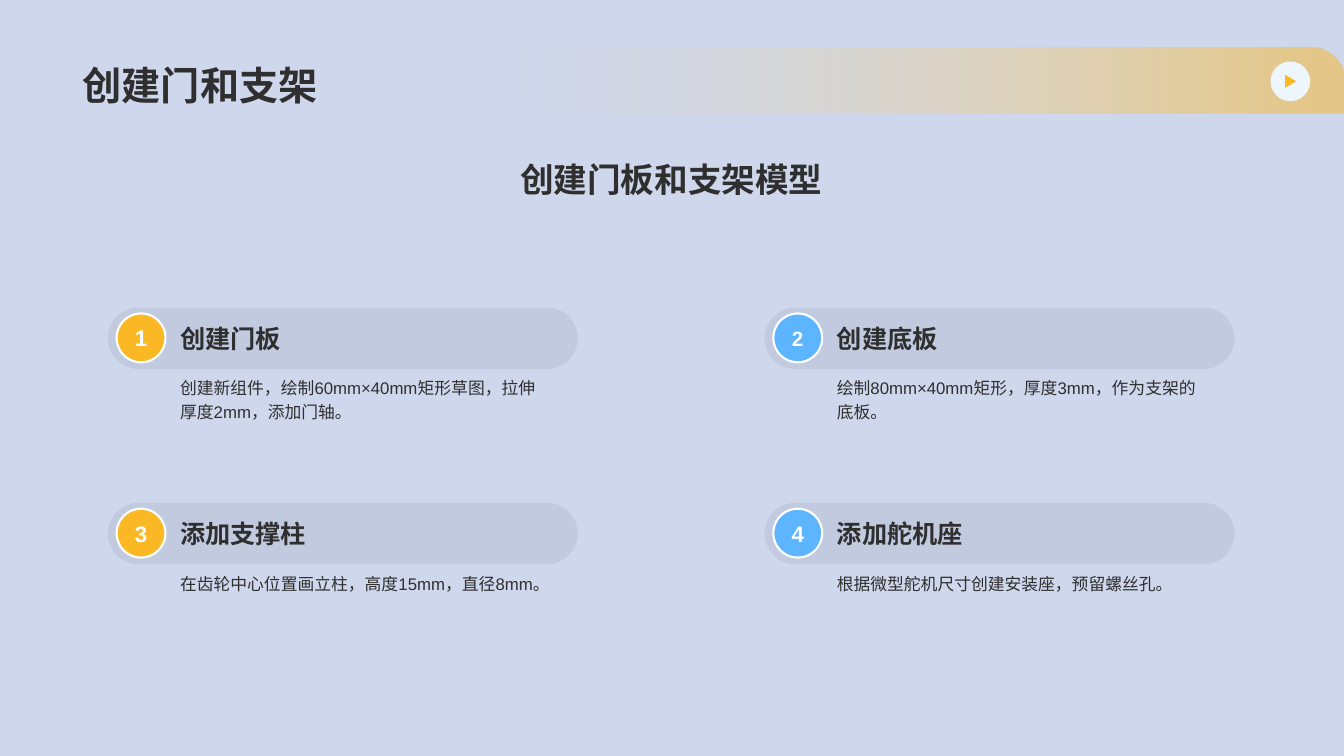
from pptx import Presentation
from pptx.dml.color import RGBColor
from pptx.enum.shapes import MSO_SHAPE
from pptx.enum.text import MSO_ANCHOR, MSO_AUTO_SIZE, PP_ALIGN
from pptx.oxml.ns import qn
from pptx.util import Cm, Pt
from lxml.etree import SubElement

# Content
TITLE = "创建门和支架"
SUBTITLE = "创建门板和支架模型"
STEPS = [  # heading, description, number size
    ("创建门板", "创建新组件，绘制60mm×40mm矩形草图，拉伸厚度2mm，添加门轴。", 16),
    ("创建底板", "绘制80mm×40mm矩形，厚度3mm，作为支架的底板。", 14.8),
    ("添加支撑柱", "在齿轮中心位置画立柱，高度15mm，直径8mm。", 16),
    ("添加舵机座", "根据微型舵机尺寸创建安装座，预留螺丝孔。", 16),
]

BACKGROUND = RGBColor(0xCF, 0xD7, 0xEC)
INK = RGBColor(0x2F, 0x2F, 0x2F)
WHITE = RGBColor(0xFF, 0xFF, 0xFF)
AMBER = RGBColor(0xFB, 0xB8, 0x25)
CREAM = RGBColor(0xFD, 0xE3, 0xA8)
BLUE = RGBColor(0x5D, 0xB5, 0xFF)
SLATE = RGBColor(0x77, 0x84, 0x95)
ICE = RGBColor(0xED, 0xF6, 0xFD)
COLUMN_COLORS = [AMBER, BLUE]

# Step grid, in cm
LEFT, TOP = 2.72, 7.75
COLUMN_PITCH, ROW_PITCH = 16.55, 4.92
PILL_WIDTH, PILL_HEIGHT = 11.84, 1.55
TEXT_OFFSET, TEXT_WIDTH = 1.57, 9.86

prs = Presentation()
prs.slide_width, prs.slide_height = Cm(33.87), Cm(19.05)
slide = prs.slides.add_slide(prs.slide_layouts[5])
slide.background.fill.solid()
slide.background.fill.fore_color.rgb = BACKGROUND


def set_opacity(shape, *percents):
    colors = shape.fill._xPr.iter(qn("a:srgbClr"))
    for color, percent in zip(colors, percents):
        SubElement(color, qn("a:alpha")).set("val", str(percent * 1000))


def add_plain(kind, x, y, width, height, color):
    shape = slide.shapes.add_shape(kind, Cm(x), Cm(y), Cm(width), Cm(height))
    shape.shadow.inherit = False
    shape.fill.solid()
    shape.fill.fore_color.rgb = color
    shape.line.fill.background()
    return shape


def write(shape, text, size, color=INK, bold=True, align=PP_ALIGN.LEFT,
          anchor=MSO_ANCHOR.MIDDLE):
    frame = shape.text_frame
    frame.text = text
    frame.word_wrap = True
    frame.auto_size = MSO_AUTO_SIZE.NONE
    frame.vertical_anchor = anchor
    paragraph = frame.paragraphs[0]
    paragraph.alignment = align
    font = paragraph.font
    font.name, font.size, font.bold = "Arial", Pt(size), bold
    font.color.rgb = color
    return paragraph


def add_text(x, y, width, height, text, size, **style):
    box = slide.shapes.add_textbox(Cm(x), Cm(y), Cm(width), Cm(height))
    return write(box, text, size, **style)


# Header band with play button
band = add_plain(MSO_SHAPE.ROUND_2_DIAG_RECTANGLE, 12.95, 1.19, 20.92, 1.67, AMBER)
band.adjustments[0], band.adjustments[1] = 0, 0.5
band.fill.gradient()
band.fill.gradient_angle = 0
for stop, color, position in zip(band.fill.gradient_stops, [CREAM, AMBER], [0, 0.96]):
    stop.color.rgb = color
    stop.position = position
set_opacity(band, 0, 50)
add_plain(MSO_SHAPE.OVAL, 32.02, 1.55, 1, 1, ICE)
play = add_plain(MSO_SHAPE.ISOSCELES_TRIANGLE, 32.36, 1.91, 0.33, 0.28, AMBER)
play.rotation = 90

# Title and subtitle
title = slide.shapes.title
title.left, title.top, title.width, title.height = Cm(1.83), Cm(0.36), Cm(30.18), Cm(2.49)
write(title, TITLE, 28, anchor=MSO_ANCHOR.BOTTOM)
add_text(1.83, 3.15, 30.18, 2, SUBTITLE, 24,
         align=PP_ALIGN.CENTER, anchor=MSO_ANCHOR.BOTTOM)

# Numbered steps, two per row
for index, (heading, description, number_size) in enumerate(STEPS):
    row, column = divmod(index, 2)
    x, y = LEFT + column * COLUMN_PITCH, TOP + row * ROW_PITCH

    pill = add_plain(MSO_SHAPE.ROUNDED_RECTANGLE, x, y, PILL_WIDTH, PILL_HEIGHT, SLATE)
    pill.adjustments[0] = 0.5
    set_opacity(pill, 15)

    badge = add_plain(MSO_SHAPE.OVAL, x + 0.22, y + 0.15, 1.23, 1.23,
                      COLUMN_COLORS[column])
    badge.line.color.rgb = WHITE
    badge.line.width = Pt(1.5)
    write(badge, str(index + 1), number_size, color=WHITE, align=PP_ALIGN.CENTER)
    frame = badge.text_frame
    frame.margin_left = frame.margin_right = frame.margin_top = frame.margin_bottom = 0

    add_text(x + TEXT_OFFSET, y + 0.28, TEXT_WIDTH, 1, heading, 18)
    body = add_text(x + TEXT_OFFSET, y + PILL_HEIGHT, TEXT_WIDTH, 2.82, description, 12,
                    bold=False, anchor=MSO_ANCHOR.TOP)
    body.line_spacing = 1.2

prs.save("out.pptx")
